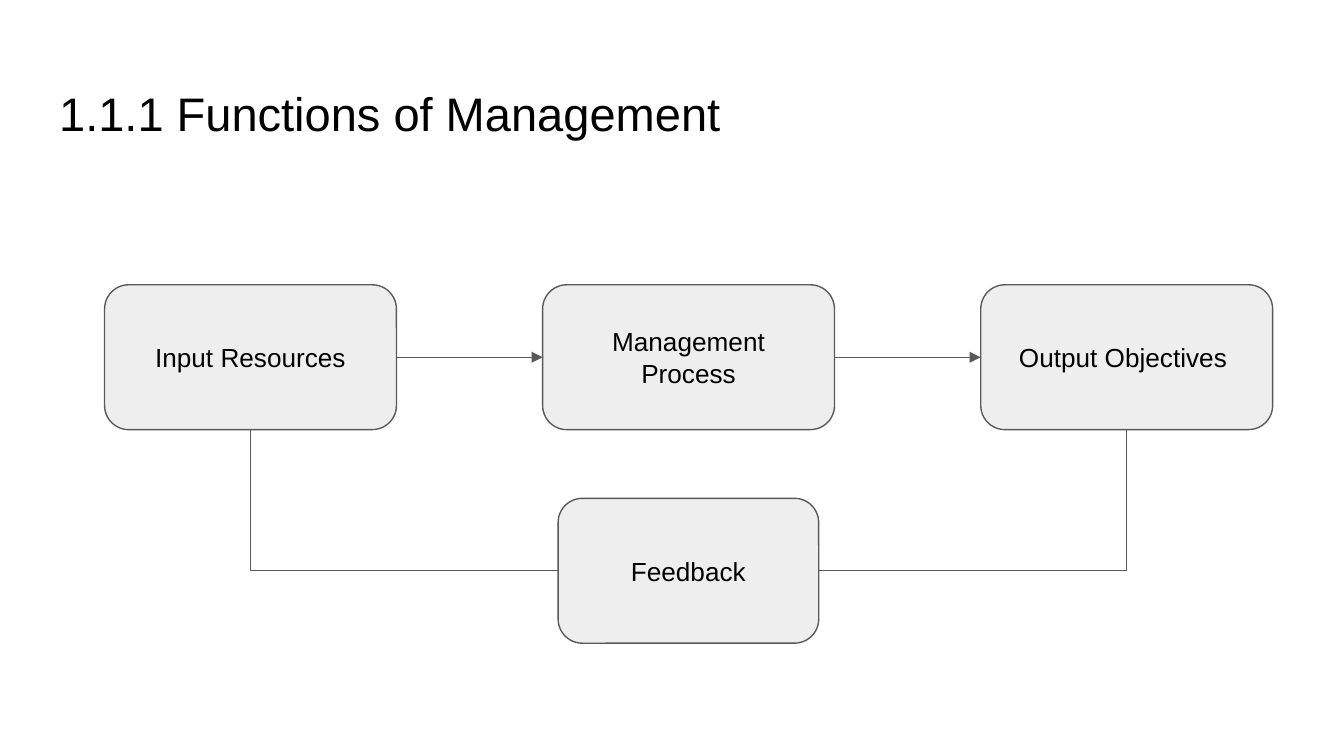
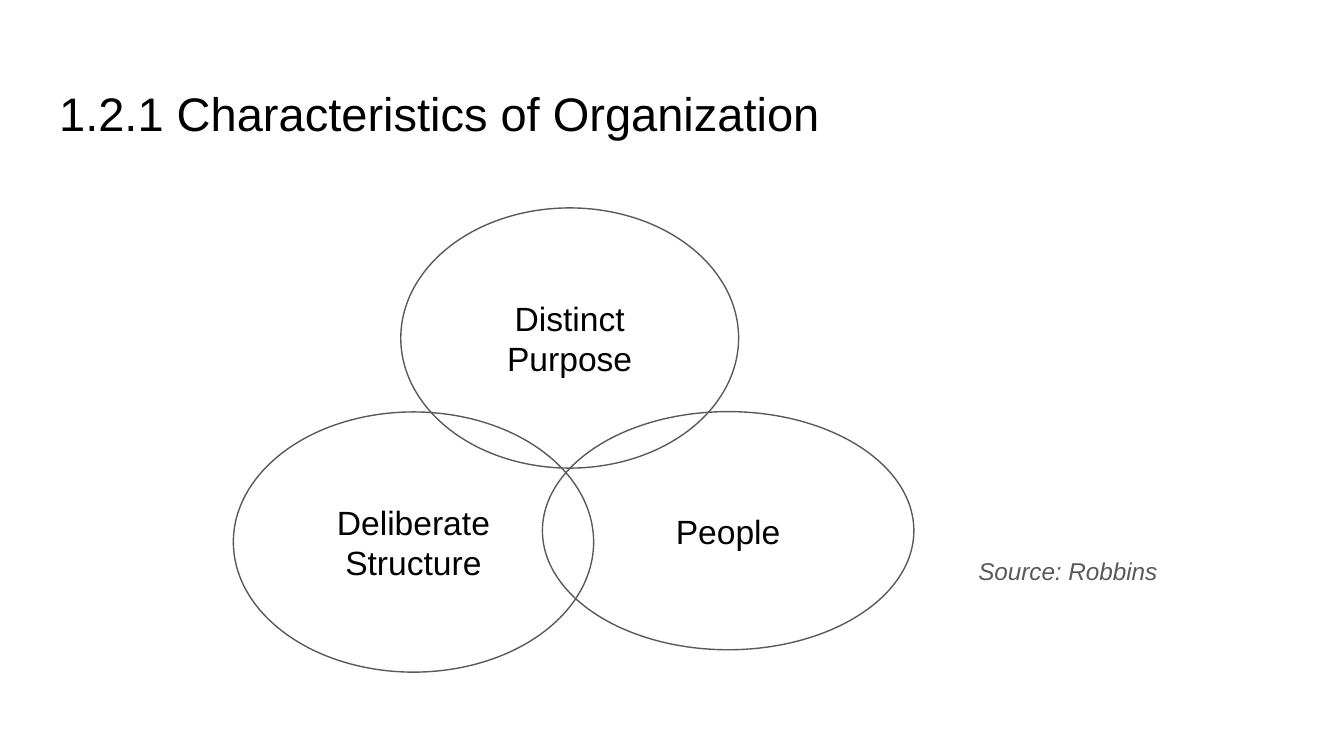
"""Build two slides on the functions of management and the traits of an organization."""
from pptx import Presentation
from pptx.dml.color import RGBColor
from pptx.enum.shapes import MSO_CONNECTOR as Link, MSO_SHAPE as Preset
from pptx.enum.text import MSO_ANCHOR as Anchor, MSO_AUTO_SIZE as AutoSize, PP_ALIGN as Align
from pptx.oxml.ns import qn
from pptx.oxml.xmlchemy import OxmlElement
from pptx.util import Pt

FONT = "Arial"
INK = "000000"
GREY = "595959"
PANEL = "EEEEEE"
INSET = Pt(7.2)
TOP, LEFT, BOTTOM, RIGHT = range(4)


def rgb(value):
    return RGBColor.from_string(value)


def write(shape, wording, size, color=INK, align=Align.LEFT, anchor=Anchor.TOP, italic=None):
    frame = shape.text_frame
    frame.text = wording
    frame.word_wrap = True
    frame.auto_size = AutoSize.NONE
    frame.vertical_anchor = anchor
    frame.margin_left = frame.margin_right = INSET
    frame.margin_top = frame.margin_bottom = INSET
    paragraph = frame.paragraphs[0]
    paragraph.alignment = align
    for run in paragraph.runs:
        run.font.name = FONT
        run.font.size = Pt(size)
        run.font.italic = italic
        run.font.color.rgb = rgb(color)
    return paragraph


def add_titled_slide(deck, heading):
    slide = deck.slides.add_slide(deck.slide_layouts[5])
    title = slide.shapes.title
    title.left, title.top, title.width, title.height = Pt(24.5), Pt(35.4), Pt(671), Pt(45.1)
    write(title, heading, 25.2).line_spacing = 1.08
    return slide


def add_node(slide, preset, wording, bounds, size, fill=None):
    node = slide.shapes.add_shape(preset, *map(Pt, bounds))
    node.shadow.inherit = False
    if fill:
        node.fill.solid()
        node.fill.fore_color.rgb = rgb(fill)
    else:
        node.fill.background()
    node.line.color.rgb = rgb(GREY)
    node.line.width = Pt(0.75)
    write(node, wording, size, align=Align.CENTER, anchor=Anchor.MIDDLE)
    return node


def join(slide, kind, source, source_side, target, target_side):
    link = slide.shapes.add_connector(kind, 0, 0, 0, 0)
    link.begin_connect(source, source_side)
    link.end_connect(target, target_side)
    link.line.color.rgb = rgb(GREY)
    link.line.width = Pt(0.75)
    link._element.spPr.append(OxmlElement("a:effectLst"))
    return link


def add_arrow(slide, source, target):
    arrow = join(slide, Link.STRAIGHT, source, RIGHT, target, LEFT)
    head = OxmlElement("a:tailEnd")
    head.set("type", "triangle")
    arrow.line._get_or_add_ln().append(head)


def add_corner(slide, source, source_side, target):
    corner = join(slide, Link.ELBOW, source, source_side, target, BOTTOM)
    corner._element.spPr.find(qn("a:prstGeom")).set("prst", "bentConnector2")


def build_functions(deck):
    slide = add_titled_slide(deck, "1.1.1 Functions of Management")
    stages = [
        add_node(slide, Preset.ROUNDED_RECTANGLE, wording,
                 (56 + 234.7 * column, 152.6, 156.4, 77.6), 14, PANEL)
        for column, wording in enumerate(
            ("Input Resources", "Management Process", "Output Objectives "))
    ]
    feedback = add_node(slide, Preset.ROUNDED_RECTANGLE, "Feedback",
                        (299, 267, 139.6, 77.6), 14, PANEL)
    for source, target in zip(stages, stages[1:]):
        add_arrow(slide, source, target)
    add_corner(slide, feedback, LEFT, stages[0])
    add_corner(slide, feedback, RIGHT, stages[-1])


def build_characteristics(deck):
    slide = add_titled_slide(deck, "1.2.1 Characteristics of Organization")
    for wording, bounds in (
        ("Deliberate Structure", (125, 220.7, 193, 139.4)),
        ("People", (290.6, 220.5, 199, 127.6)),
        ("Distinct Purpose", (214.7, 111.4, 181, 139.4)),
    ):
        add_node(slide, Preset.OVAL, wording, bounds, 18)
    credit = slide.shapes.add_textbox(Pt(517), Pt(291), Pt(162), Pt(39.6))
    write(credit, "Source: Robbins", 13, GREY, italic=True)


def main():
    deck = Presentation()
    deck.slide_width, deck.slide_height = Pt(720), Pt(405)
    build_functions(deck)
    build_characteristics(deck)
    deck.save("out.pptx")


if __name__ == "__main__":
    main()
